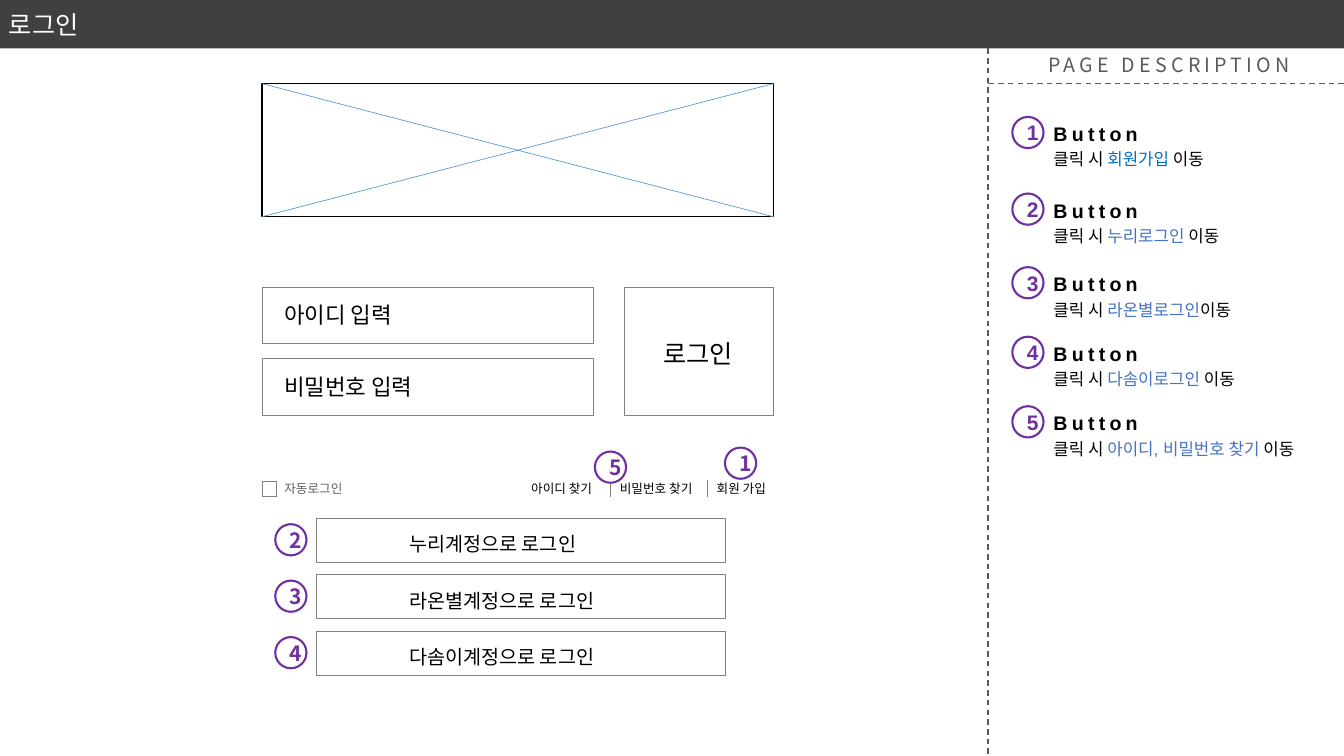
from pptx import Presentation
from pptx.dml.color import RGBColor
from pptx.enum import dml, shapes, text
from pptx.oxml import ns
from pptx.util import Inches, Pt
from lxml import etree

NOTO, ARIAL = "Noto Sans CJK KR", "Arial"
BLACK, WHITE, GRAY, DARK, PURPLE = "000000", "FFFFFF", "808080", "595959", "7030A0"
BADGE = 0.31


def rgb(value):
    return RGBColor.from_string(value)


def add_span(para, words, size, font, color, bold=False, spacing=0):
    span = para.add_run()
    span.text = words
    span.font.size = Pt(size)
    span.font.bold = bold
    span.font.color.rgb = rgb(color)
    span.font.name = font
    properties = span.font._element
    if spacing:
        properties.set("spc", str(spacing * 100))
    etree.SubElement(properties, ns.qn("a:ea")).set("typeface", NOTO)


def add_text(page, left, top, width, height, words, size=12, font=NOTO,
             color=BLACK, bold=False, spacing=0, wrap=True):
    """Words are a string, or a list of (string, colour) pairs."""
    box = page.shapes.add_textbox(Inches(left), Inches(top), Inches(width), Inches(height))
    frame = box.text_frame
    frame.word_wrap = wrap
    frame.auto_size = text.MSO_AUTO_SIZE.SHAPE_TO_FIT_TEXT
    pairs = [(words, color)] if isinstance(words, str) else words
    for part, part_color in pairs:
        add_span(frame.paragraphs[0], part, size, font, part_color, bold, spacing)
    return frame


def add_outline(page, left, top, width, height, kind=shapes.MSO_SHAPE.RECTANGLE,
                fill=None, line=GRAY, weight=0.5):
    shape = page.shapes.add_shape(kind, Inches(left), Inches(top), Inches(width), Inches(height))
    shape.shadow.inherit = False
    if fill:
        shape.fill.solid()
        shape.fill.fore_color.rgb = rgb(fill)
    else:
        shape.fill.background()
    if line:
        shape.line.color.rgb = rgb(line)
        shape.line.width = Pt(weight)
    else:
        shape.line.fill.background()
    return shape


def add_line(page, x1, y1, x2, y2, color=GRAY, weight=0.5, dashed=False):
    line = page.shapes.add_connector(shapes.MSO_CONNECTOR.STRAIGHT, Inches(x1), Inches(y1),
                                     Inches(x2), Inches(y2))
    line.line.color.rgb = rgb(color)
    line.line.width = Pt(weight)
    if dashed:
        line.line.dash_style = dml.MSO_LINE.DASH
    etree.SubElement(line._element.spPr, ns.qn("a:effectLst"))


def add_badge(page, left, top, number, font=NOTO):
    circle = add_outline(page, left, top, BADGE, BADGE, shapes.MSO_SHAPE.OVAL,
                         WHITE, PURPLE, 1.5)
    frame = circle.text_frame
    frame.vertical_anchor = text.MSO_ANCHOR.MIDDLE
    para = frame.paragraphs[0]
    para.alignment = text.PP_ALIGN.CENTER
    add_span(para, str(number), 15, font, PURPLE, bold=True)


def add_header(page, left, top, width, height):
    bar = add_outline(page, left, top, width, height, fill="404040", line=None)
    bar.text_frame.vertical_anchor = text.MSO_ANCHOR.MIDDLE
    para = bar.text_frame.paragraphs[0]
    para.alignment = text.PP_ALIGN.LEFT
    add_span(para, "로그인", 18, ARIAL, WHITE)


def add_description(page, left, top, width, height):
    add_line(page, left, top, left, top + height, DARK, 1, dashed=True)
    add_line(page, left + width, top + 0.35, left, top + 0.35, DARK, 1, dashed=True)
    add_text(page, left + 0.5, top, 2.73, 0.34, "PAGE DESCRIPTION", size=14,
             color=DARK, spacing=3)
    notes = [(0.68, "회원가입 ", "0070C0"), (1.44, "누리로그인 ", "4472C4"),
             (2.17, "라온별로그인", "4472C4"), (2.86, "다솜이로그인 ", "4472C4"),
             (3.55, "아이디, 비밀번호 찾기 ", "4472C4")]
    for number, (offset, target, color) in enumerate(notes, 1):
        y = top + offset
        add_badge(page, left + 0.24, y, number, ARIAL)
        add_text(page, left + 0.55, y, 1.09, 0.34, "Button", size=14, font=ARIAL,
                 bold=True, spacing=3, wrap=False)
        add_text(page, left + 0.55, y + 0.27, 2.98, 0.3,
                 [("클릭 시 ", BLACK), (target, color), ("이동", BLACK)], font=ARIAL)


def add_image_area(page, left, top, width, height):
    """Crossed box that stands for an image."""
    add_outline(page, left, top, width, height, line=BLACK, weight=1)
    for start, end in ((top, top + height), (top + height, top)):
        add_line(page, left, start, left + width, end, "5B9BD5")


def add_login_form(page, left, top, width, height):
    field_height = 0.56
    pitch = height - field_height
    for row, label in enumerate(("아이디 입력", "비밀번호 입력")):
        y = top + row * pitch
        add_outline(page, left, y, 3.29, field_height)
        add_text(page, left + 0.12, y + 0.09, 2.05, 0.37, label, size=16)
    button_width = 1.48
    button_left = left + width - button_width
    add_outline(page, button_left, top, button_width, height)
    add_text(page, button_left + 0.29, top + 0.46, 1, 0.4, "로그인", size=18)


def add_account_links(page, left, top, width, height):
    add_outline(page, left, top + 0.06, 0.14, 0.14, fill=WHITE)
    frame = add_text(page, left + 0.14, top + 0.01, 0.79, 0.23, "자동로그인", size=9,
                     font="Karla", color="5F5F5F", wrap=False)
    frame.vertical_anchor = text.MSO_ANCHOR.MIDDLE
    frame.margin_left = frame.margin_right = Inches(0.08)
    frame.margin_top = frame.margin_bottom = Inches(0.04)
    for offset, label in ((2.57, "아이디 찾기"), (3.45, "비밀번호 찾기"), (4.41, "회원 가입")):
        add_text(page, left + offset, top, 1.2, height, label, size=9)
    for offset in (3.45, 4.42):
        add_line(page, left + offset, top + 0.04, left + offset, top + 0.21)
    add_badge(page, left + 4.59, top - 0.28, 1)
    add_badge(page, left + 3.3, top - 0.24, 5)


def add_social_logins(page, left, top, width, height):
    button_height = 0.44
    pitch = (height - button_height) / 2
    for row, name in enumerate(("누리", "라온별", "다솜이")):
        y = top + row * pitch
        add_outline(page, left, y, width, button_height)
        add_text(page, left + 0.82, y + 0.09, 3.2, 0.34, f"{name}계정으로 로그인", size=14)
        add_badge(page, left - 0.41, y + 0.06, row + 2)


def main():
    deck = Presentation()
    deck.slide_width, deck.slide_height = Inches(13.33), Inches(7.5)
    page = deck.slides.add_slide(deck.slide_layouts[6])
    add_header(page, -0.01, 0, 13.34, 0.48)
    add_description(page, 9.8, 0.48, 3.53, 7.02)
    add_image_area(page, 2.6, 0.83, 5.07, 1.32)
    add_login_form(page, 2.6, 2.85, 5.07, 1.27)
    add_account_links(page, 2.6, 4.72, 5.07, 0.25)
    add_social_logins(page, 3.14, 5.14, 4.05, 1.56)
    deck.save("out.pptx")


if __name__ == "__main__":
    main()
